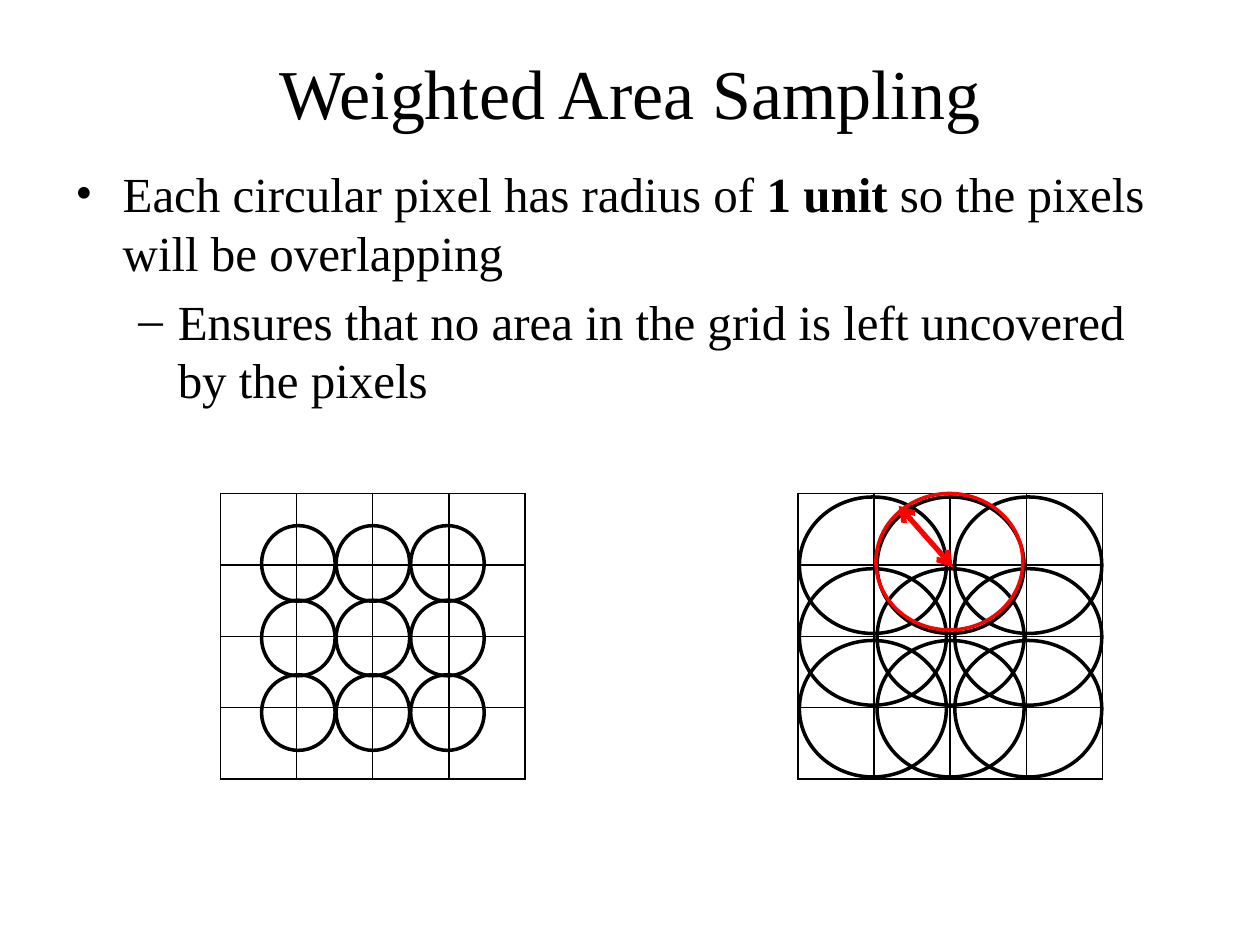
from itertools import product

from lxml import etree
from pptx import Presentation
from pptx.dml import color
from pptx.enum import shapes, text
from pptx.oxml import ns
from pptx.util import Pt

FONT = "Times New Roman"
BLACK, RED = "000000", "FF0000"


def paint(value):
    """Turn a hex string into a colour."""
    return color.RGBColor.from_string(value)


def assign(target, values):
    """Set attributes of an object from a dict."""
    for name, value in values.items():
        setattr(target, name, value)


def add_child(parent, tag, **attributes):
    """Append a DrawingML element and return it."""
    return etree.SubElement(parent, ns.qn(tag), attributes)


def place(shape, box):
    """Move a shape to a box given in points."""
    assign(shape, dict(zip(("left", "top", "width", "height"), map(Pt, box))))


def add_span(para, words, size, bold=False):
    """Add a formatted run to a paragraph."""
    span = para.add_run()
    span.text = words
    assign(span.font, {"name": FONT, "size": Pt(size), "bold": bold})
    span.font.color.rgb = paint(BLACK)


def fill_title(page, box, words):
    """Place and format the title placeholder."""
    title = page.shapes.title
    place(title, box)
    title.text_frame.vertical_anchor = text.MSO_ANCHOR.MIDDLE
    para = title.text_frame.paragraphs[0]
    para.alignment = text.PP_ALIGN.CENTER
    add_span(para, words, 40)


def add_bullets(page, box, items):
    """Write bulleted paragraphs given as level, mark, indents and spans."""
    frame = page.shapes.add_textbox(*map(Pt, box)).text_frame
    frame.word_wrap = True
    for index, (level, mark, margin, hanging, spans) in enumerate(items):
        para = frame.add_paragraph() if index else frame.paragraphs[0]
        assign(para, {"level": level, "space_before": Pt(5.6)})
        props = para._p.get_or_add_pPr()
        props.set("marL", str(Pt(margin)))
        props.set("indent", str(-Pt(hanging)))
        add_child(props, "a:buFont", typeface=FONT)
        add_child(props, "a:buChar", char=mark)
        for words, bold in spans:
            add_span(para, words, 28, bold)


def add_grid(page, box, count=4):
    """Draw a square-ruled table with thin black borders."""
    table = page.shapes.add_table(count, count, *map(Pt, box)).table
    assign(table, {"first_row": False, "horz_banding": False})
    for cell in table.iter_cells():
        props = cell._tc.get_or_add_tcPr()
        for side in ("a:lnL", "a:lnR", "a:lnT", "a:lnB"):
            border = add_child(props, side, w=str(Pt(1)))
            add_child(add_child(border, "a:solidFill"), "a:srgbClr", val=BLACK)
        cell.fill.background()


def add_circle(page, box, hue=BLACK):
    """Draw an unfilled pixel outline."""
    circle = page.shapes.add_shape(shapes.MSO_SHAPE.OVAL, *map(Pt, box))
    circle.shadow.inherit = False
    circle.fill.background()
    circle.line.color.rgb = paint(hue)
    circle.line.width = Pt(2)


def add_pixel_grid(page, box, inset, size, pitch, count=3):
    """Draw a grid and the circular pixels over its inner crossings."""
    add_grid(page, box)
    for row, column in product(range(count), repeat=2):
        left = box[0] + inset[0] + column * pitch[0]
        top = box[1] + inset[1] + row * pitch[1]
        add_circle(page, (left, top, *size))


def add_radius(page, box, size):
    """Highlight the top middle pixel of a grid and its radius."""
    left, top = box[:2]
    add_circle(page, (left + 44.5, top, *size), RED)
    ends = (left + 88.5, top + 42, left + 57.5, top + 7)
    arrow = page.shapes.add_connector(
        shapes.MSO_CONNECTOR.STRAIGHT, *map(Pt, ends))
    arrow.line.color.rgb = paint(RED)
    arrow.line.width = Pt(3)
    line = arrow.line._get_or_add_ln()
    for tag in ("a:headEnd", "a:tailEnd"):
        add_child(line, tag, type="arrow")
    add_child(arrow._element.spPr, "a:effectLst")


def main():
    """Build and save the slide."""
    deck = Presentation()
    assign(deck, {"slide_width": Pt(720), "slide_height": Pt(540)})
    page = deck.slides.add_slide(deck.slide_layouts[5])
    fill_title(page, (36, 7.2, 648, 90), "Weighted Area Sampling")
    add_bullets(page, (36, 90, 636, 396), [
        (0, "•", 27, 27, [
            ("Each circular pixel has radius of ", False),
            ("1 unit ", True),
            ("so the pixels will be overlapping", False)]),
        (1, "–", 58.5, 22.5, [
            ("Ensures that no area in the grid is left uncovered "
             "by the pixels", False)]),
    ])
    separate = (126, 282, 174, 163.2)
    overlapping = (456, 282, 174, 163.2)
    large = (84, 78)
    add_pixel_grid(page, separate, (23.5, 18.4), (42, 43.2), (42.6, 42.6))
    add_pixel_grid(page, overlapping, (0.8, 2), large, (44.4, 41))
    add_radius(page, overlapping, large)
    deck.save("out.pptx")


if __name__ == "__main__":
    main()
